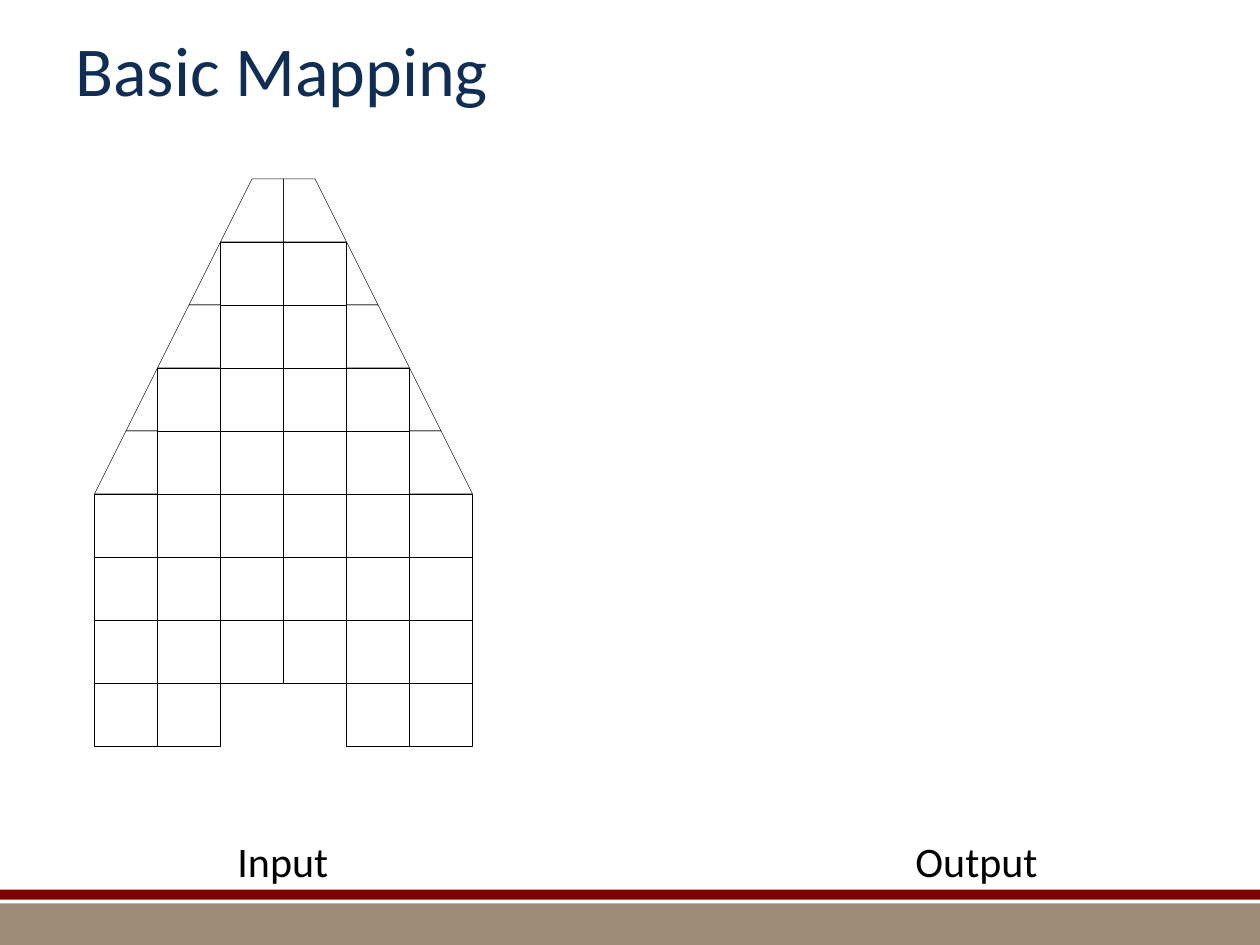
from dataclasses import dataclass

from pptx import Presentation
from pptx import util as u
from pptx.dml.color import RGBColor
from pptx.enum import shapes, text


@dataclass(frozen=True)
class Theme:
    font: str = "Calibri"
    navy: RGBColor = RGBColor(0x10, 0x2E, 0x54)
    black: RGBColor = RGBColor(0, 0, 0)
    maroon: RGBColor = RGBColor(0x80, 0, 0)
    taupe: RGBColor = RGBColor(0x9E, 0x8C, 0x78)
    title_size: int = 40
    label_size: int = 24
    grid_line: float = 0.25


theme = Theme()
presentation = Presentation()
presentation.slide_width = u.Inches(10)
presentation.slide_height = u.Inches(7.5)
slide = presentation.slides.add_slide(presentation.slide_layouts[6])


def add_text(words, left, top, width, height, size, color, align, wrap):
    box = slide.shapes.add_textbox(u.Inches(left), u.Inches(top), u.Inches(width), u.Inches(height))
    frame = box.text_frame
    frame.word_wrap = wrap
    frame.vertical_anchor = text.MSO_ANCHOR.MIDDLE
    paragraph = frame.paragraphs[0]
    paragraph.alignment = align
    run = paragraph.add_run()
    run.text = words
    run.font.name = theme.font
    run.font.size = u.Pt(size)
    run.font.color.rgb = color


def outline(shape):
    shape.shadow.inherit = False
    shape.fill.background()
    shape.line.color.rgb = theme.black
    shape.line.width = u.Pt(theme.grid_line)


for top, height, color in ((7.17, 0.33, theme.taupe), (7.06, 0.08, theme.maroon)):
    band = slide.shapes.add_shape(
        shapes.MSO_SHAPE.RECTANGLE, 0, u.Inches(top), presentation.slide_width, u.Inches(height))
    band.shadow.inherit = False
    band.fill.solid()
    band.fill.fore_color.rgb = color
    band.line.fill.background()

add_text("Basic Mapping", 0.5, 0, 9, 1.08, theme.title_size, theme.navy, text.PP_ALIGN.LEFT, True)

center, peak, cell = 2.25, 1.42, 0.5
last_rows = (8, 9, 9)
grid = slide.shapes.add_group_shape()

for side in (1, -1):
    for column, last_row in enumerate(last_rows):
        inner = center + side * column * cell
        middle = inner + side * cell / 2
        outer = inner + side * cell
        first_row = 2 * column + 1

        for row in range(first_row, last_row):
            outline(grid.shapes.add_shape(
                shapes.MSO_SHAPE.RECTANGLE, u.Inches(min(inner, outer)),
                u.Inches(peak + row * cell), u.Inches(cell), u.Inches(cell)))

        slope_top = peak + 2 * column * cell
        slope_bottom = slope_top + cell
        pieces = [[(inner, slope_top), (inner, slope_bottom), (outer, slope_bottom), (middle, slope_top)]]
        if column < len(last_rows) - 1:
            tip = outer + side * cell / 2
            pieces.append([(outer, slope_bottom), (outer, slope_bottom + cell), (tip, slope_bottom + cell)])
        for piece in pieces:
            points = [(u.Inches(x), u.Inches(y)) for x, y in piece]
            builder = grid.shapes.build_freeform(*points[0])
            builder.add_line_segments(points[1:], close=True)
            outline(builder.convert_to_shape())

for words, left, width in (("Input", 1.78, 0.93), ("Output", 7.16, 1.18)):
    add_text(words, left, 6.58, width, 0.5, theme.label_size, theme.black, text.PP_ALIGN.CENTER, False)

presentation.save("out.pptx")
